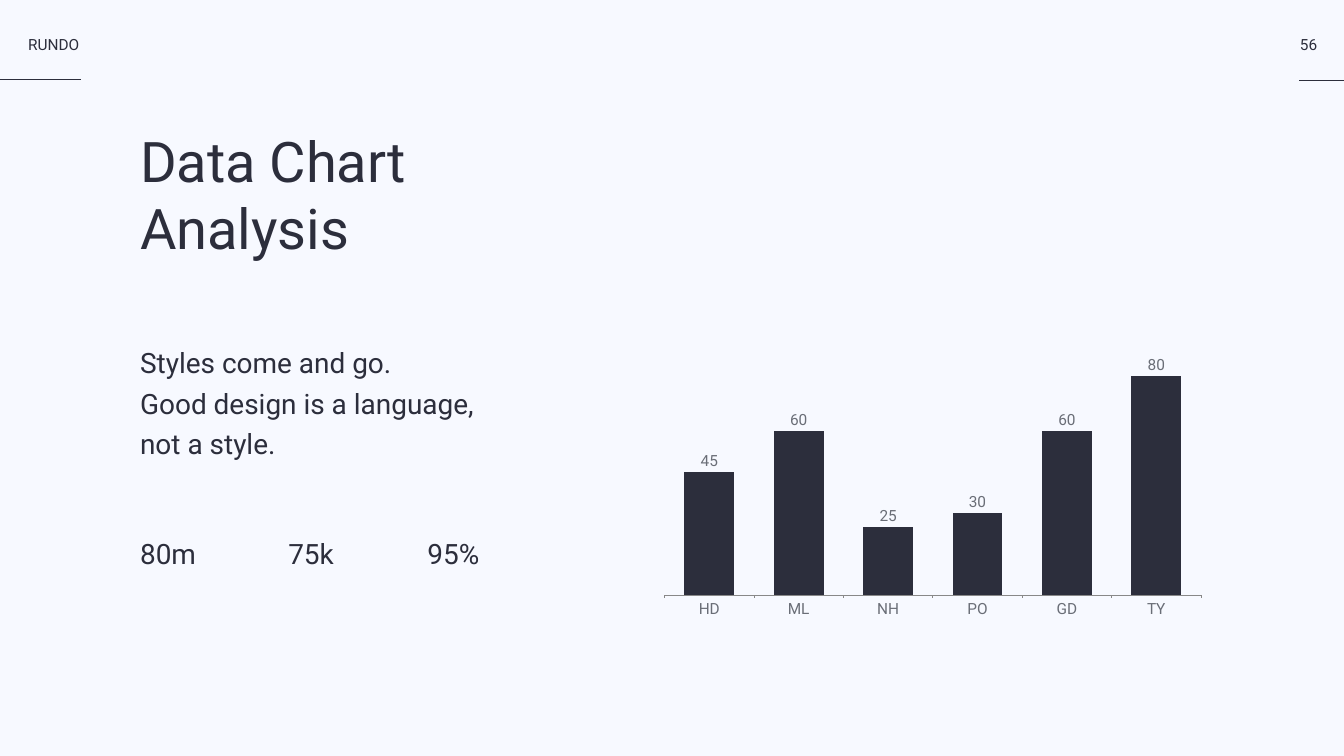
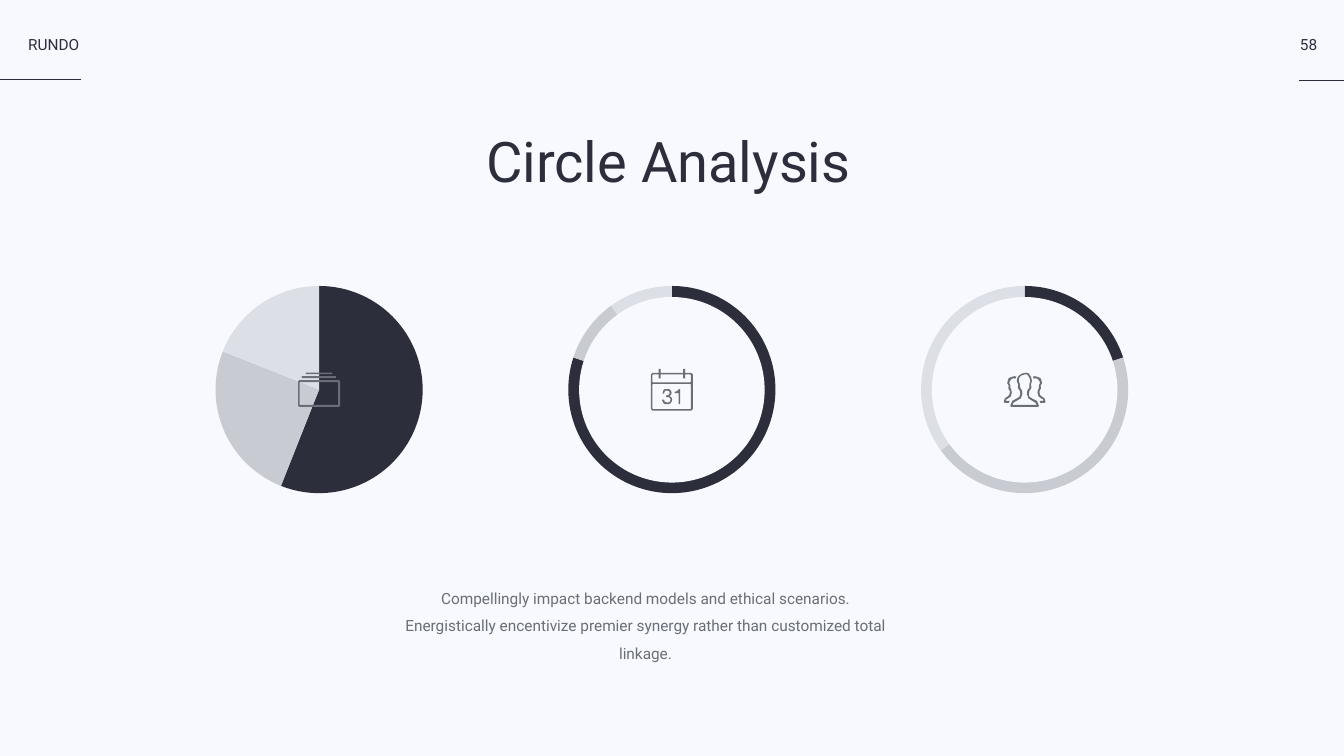
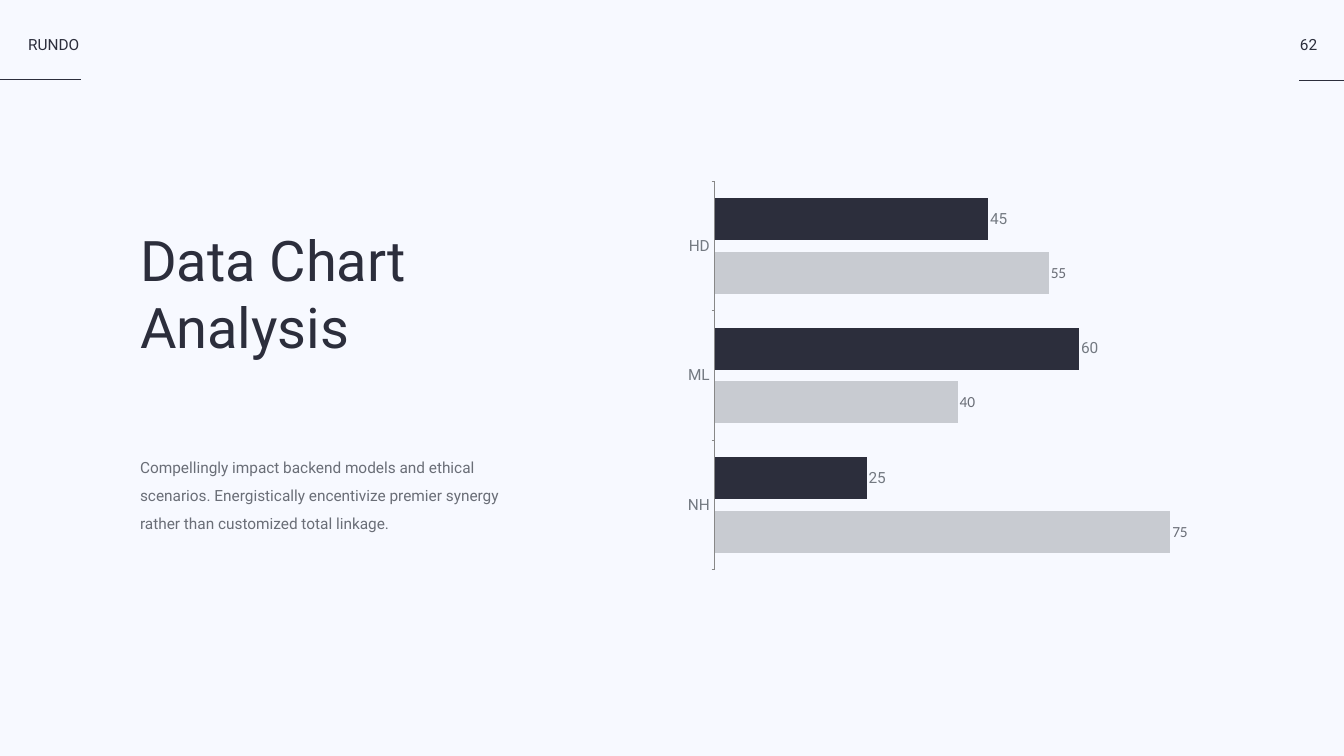
from lxml.etree import SubElement
from pptx import Presentation
from pptx.chart.data import CategoryChartData
from pptx.dml.color import RGBColor
from pptx.enum.chart import XL_CHART_TYPE as ChartType
from pptx.enum.chart import XL_LABEL_POSITION as LabelPosition
from pptx.enum.chart import XL_TICK_LABEL_POSITION as TickLabels
from pptx.enum.chart import XL_TICK_MARK as TickMark
from pptx.enum.shapes import MSO_CONNECTOR, MSO_SHAPE
from pptx.enum.text import MSO_AUTO_SIZE as AutoSize
from pptx.enum.text import PP_ALIGN as Align
from pptx.oxml.ns import qn
from pptx.util import Cm, Pt

COLORS = {
    "background": "F7F9FF",
    "ink": "2C2E3C",
    "text": "6A6E77",
    "slate": "747A82",
    "silver": "C8CBD1",
    "mist": "DCE0E6",
    "axis": "888888",
}
FONT = "Roboto"
SLIDE_WIDTH, SLIDE_HEIGHT = 67.74, 38.1
MARGIN = 7.06
TITLE_TOP = 6.37

# Content; boxes are left, top, width, height in cm
BRAND = "RUNDO"
CHART_TITLE = ["Data Chart", "Analysis"]
CIRCLE_TITLE = ["Circle Analysis"]
MOTTO = ["Styles come and go.", "Good design is a language,", "not a style."]
STATS = [("80m", MARGIN, 2.87), ("75k", 14.53, 2.41), ("95%", 21.54, 2.69)]
CAPTION = [
    "Compellingly impact backend models and ethical scenarios.",
    "Energistically encentivize premier synergy rather than customized total linkage.",
]
SUMMARY = [
    "Compellingly impact backend models and ethical",
    "scenarios. Energistically encentivize premier synergy",
    "rather than customized total linkage.",
]

# Each series: name, values, fill, label color, label font, label format
COLUMNS = {
    "type": ChartType.COLUMN_CLUSTERED,
    "box": (33.11, 15.13, 27.56, 16.64),
    "plot": (0.014, 0.065, 0.981, 0.828),
    "categories": ["HD", "ML", "NH", "PO", "GD", "TY"],
    "series": [("Series 1", [45, 60, 25, 30, 60, 80], "ink", "text", FONT, "0")],
    "axis_color": "text",
    "maximum": 100,
    "labels_at": TickLabels.LOW,
    "reverse": False,
}
BARS = {
    "type": ChartType.BAR_CLUSTERED,
    "box": (34.08, 8.75, 26.57, 20.35),
    "plot": (0.073, 0.019, 0.922, 0.962),
    "categories": ["HD", "ML", "NH"],
    "series": [
        ("Series 1", [45, 60, 25], "ink", "slate", FONT, "0"),
        ("Series 2", [55, 40, 75], "silver", "text", "Calibri", "#,##0"),
    ],
    "axis_color": "slate",
    "maximum": 80,
    "labels_at": TickLabels.NEXT_TO_AXIS,
    "reverse": True,
}


# Icon outlines, drawn on a grid 83 units wide; inner outlines cut holes
def rectangle(left, top, right, bottom, cut=0):
    """Rectangle outline with slightly cut corners."""
    if not cut:
        return [(left, top), (right, top), (right, bottom), (left, bottom)]
    return [
        (left + cut, top), (right - cut, top), (right, top + cut), (right, bottom - cut),
        (right - cut, bottom), (left + cut, bottom), (left, bottom - cut), (left, top + cut),
    ]


ICON_WIDTH, ICON_UNIT = 83, 0.0254
STACK = [
    rectangle(15, 0, 68, 3, 1),
    rectangle(7, 7, 75, 11, 1),
    rectangle(0, 15, 83, 68, 2),
    rectangle(3, 19, 79, 64),
]
DIGIT_THREE = [
    (37, 66), (32, 67), (27, 65), (26, 61), (22, 61), (23, 65), (25, 68), (28, 70), (32, 70),
    (36, 70), (39, 68), (41, 65), (42, 61), (41, 57), (37, 54), (40, 51), (41, 48), (40, 44),
    (38, 42), (36, 40), (32, 40), (28, 40), (25, 42), (24, 45), (23, 49), (26, 49), (27, 45),
    (30, 43), (32, 43), (36, 44), (37, 48), (36, 51), (34, 52), (30, 53), (30, 56), (32, 56),
    (35, 56), (37, 57), (38, 59), (39, 61), (38, 64),
]
DIGIT_ONE = [
    (55, 70), (58, 70), (58, 40), (56, 40), (54, 42), (52, 44), (50, 45), (47, 45), (47, 48),
    (55, 48),
]
CALENDAR = [
    rectangle(0, 8, 83, 83, 3),
    rectangle(3, 11, 79, 27, 1),
    rectangle(3, 30, 79, 80, 1),
    *[rectangle(x, y, x + 4, y + 8) for x in (15, 64) for y in (0, 11)],
    DIGIT_THREE,
    DIGIT_ONE,
]
PERSON_OUTER = [
    (56, 51), (51, 48), (50, 42), (51, 36), (54, 32), (55, 28), (54, 24), (56, 16), (54, 8),
    (49, 1), (44, 0), (36, 2), (30, 6), (27, 11), (26, 17), (29, 24), (28, 29), (29, 32),
    (32, 36), (33, 42), (31, 48), (26, 51), (17, 56), (13, 66), (15, 68), (68, 68), (70, 66),
    (66, 56),
]
PERSON_INNER = [
    (17, 64), (20, 59), (27, 55), (34, 51), (37, 42), (36, 35), (33, 31), (32, 25), (32, 22),
    (30, 18), (30, 12), (33, 7), (37, 5), (44, 3), (47, 4), (51, 10), (53, 17), (51, 22),
    (51, 30), (47, 35), (46, 42), (49, 51), (55, 55), (62, 59), (66, 64),
]
NEIGHBOUR = [
    (75, 47), (72, 44), (71, 40), (71, 36), (73, 33), (74, 30), (73, 26), (76, 21), (75, 16),
    (73, 11), (69, 9), (62, 7), (58, 8), (60, 12), (62, 11), (67, 12), (71, 17), (72, 21),
    (70, 25), (70, 30), (68, 34), (67, 40), (69, 47), (74, 51), (78, 53), (79, 56), (71, 56),
    (73, 60), (81, 60), (83, 58), (81, 51),
]
PEOPLE = [PERSON_OUTER, PERSON_INNER, NEIGHBOUR, [(ICON_WIDTH - x, y) for x, y in NEIGHBOUR]]

# Each circle: values, whether it is a ring, icon
CIRCLES = [([56, 25, 19], False, STACK), ([80, 10, 10], True, CALENDAR), ([20, 45, 35], True, PEOPLE)]
SLICES = ["ink", "silver", "mist"]
CIRCLE_LEFT, CIRCLE_TOP, CIRCLE_STEP, CIRCLE_SIZE = 10.8, 14.36, 17.78, 10.57
RING_HOLE = 9.35


def rgb(name):
    return RGBColor.from_string(COLORS[name])


def fill_shape(shape, color):
    shape.shadow.inherit = False
    shape.fill.solid()
    shape.fill.fore_color.rgb = rgb(color)
    shape.line.fill.background()


def style_font(font, size, color, name=FONT):
    font.size, font.name = Pt(size), name
    font.color.rgb = rgb(color)


def add_text(slide, lines, box, size=22, color="ink", align=Align.LEFT, spacing=None):
    frame = slide.shapes.add_textbox(*map(Cm, box)).text_frame
    frame.margin_left = frame.margin_right = frame.margin_top = frame.margin_bottom = 0
    frame.word_wrap = False
    frame.auto_size = AutoSize.SHAPE_TO_FIT_TEXT
    frame.text = "\n".join(lines)
    for paragraph in frame.paragraphs:
        paragraph.alignment = align
        if spacing:
            paragraph.line_spacing = spacing
        style_font(paragraph.font, size, color)


def add_title(slide, lines, left, top, width, height, align=Align.LEFT):
    add_text(slide, lines, (left, top, width, height), 80, align=align)


def add_rule(slide, left, right, y):
    rule = slide.shapes.add_connector(MSO_CONNECTOR.STRAIGHT, Cm(left), Cm(y), Cm(right), Cm(y))
    rule.line.color.rgb = rgb("ink")
    rule.line.width = Pt(2)
    SubElement(rule.element.spPr, qn("a:effectLst"))


def add_page(presentation, number):
    """New slide with the shared background, brand and page number."""
    slide = presentation.slides.add_slide(presentation.slide_layouts[6])
    slide.background.fill.solid()
    slide.background.fill.fore_color.rgb = rgb("background")
    add_rule(slide, 0, 4.09, 4.02)
    add_text(slide, [BRAND], (1.42, 1.75, 2.67, 1.02))
    add_rule(slide, 65.49, SLIDE_WIDTH, 4.06)
    add_text(slide, [str(number)], (65.5, 1.75, 0.91, 1.02), align=Align.CENTER)
    return slide


def add_chart(slide, kind, box, plot_box, categories, series):
    data = CategoryChartData()
    data.categories = categories
    for name, values in series:
        data.add_series(name, values)
    chart = slide.shapes.add_chart(kind, *map(Cm, box), data).chart
    chart.has_title = chart.has_legend = False
    chart.font.name, chart.font.size = "Arial", Pt(10)
    # Fix the inner plot area
    area = chart.element.find(".//" + qn("c:plotArea"))
    for layout in area.findall(qn("c:layout")):
        area.remove(layout)
    layout = SubElement(area, qn("c:layout"))
    area.insert(0, layout)
    manual = SubElement(layout, qn("c:manualLayout"))
    settings = [("layoutTarget", "inner"), ("xMode", "edge"), ("yMode", "edge")]
    for tag, value in settings + list(zip("xywh", plot_box)):
        SubElement(manual, qn("c:" + tag)).set("val", str(value))
    return chart


def add_bar_chart(slide, content):
    chart = add_chart(slide, content["type"], content["box"], content["plot"],
                      content["categories"], [entry[:2] for entry in content["series"]])
    plot = chart.plots[0]
    plot.vary_by_categories = False
    plot.gap_width, plot.overlap = 80, -27
    for series, (_, _, fill, color, font, number_format) in zip(plot.series, content["series"]):
        series.format.fill.solid()
        series.format.fill.fore_color.rgb = rgb(fill)
        labels = series.data_labels
        labels.show_value = True
        labels.position = LabelPosition.OUTSIDE_END
        labels.number_format, labels.number_format_is_linked = number_format, False
        style_font(labels.font, 22, color, font)

    category_axis = chart.category_axis
    category_axis.has_major_gridlines = False
    category_axis.major_tick_mark = TickMark.OUTSIDE
    category_axis.minor_tick_mark = TickMark.NONE
    category_axis.tick_label_position = content["labels_at"]
    category_axis.reverse_order = content["reverse"]
    category_axis.format.line.color.rgb = rgb("axis")
    category_axis.format.line.width = Pt(1)
    style_font(category_axis.tick_labels.font, 22, content["axis_color"])

    value_axis = chart.value_axis
    value_axis.has_major_gridlines = False
    value_axis.major_tick_mark = value_axis.minor_tick_mark = TickMark.NONE
    value_axis.tick_label_position = TickLabels.NONE
    value_axis.minimum_scale, value_axis.maximum_scale = 0, content["maximum"]
    value_axis.major_unit = 20
    value_axis.format.line.fill.background()


def add_icon(slide, outlines, center_x, center_y):
    height = max(y for outline in outlines for _, y in outline)
    builder = slide.shapes.build_freeform(*outlines[0][0], scale=Cm(ICON_UNIT))
    for index, outline in enumerate(outlines):
        if index:
            builder.move_to(*outline[0])
        builder.add_line_segments(outline[1:], close=True)
    icon = builder.convert_to_shape(Cm(center_x - ICON_WIDTH * ICON_UNIT / 2),
                                    Cm(center_y - height * ICON_UNIT / 2))
    fill_shape(icon, "text")


def add_circle(slide, left, values, is_ring, icon):
    chart = add_chart(slide, ChartType.PIE, (left, CIRCLE_TOP, CIRCLE_SIZE, CIRCLE_SIZE),
                      (0.005, 0.005, 0.99, 0.988), ["1", "2", "3"], [("Series 1", values)])
    series = chart.plots[0].series[0]
    for index, color in enumerate(SLICES):
        slice_format = series.points[index].format
        slice_format.fill.solid()
        slice_format.fill.fore_color.rgb = rgb(color)
        slice_format.line.fill.background()
    if is_ring:
        inset = (CIRCLE_SIZE - RING_HOLE) / 2
        hole = slide.shapes.add_shape(MSO_SHAPE.OVAL, Cm(left + inset), Cm(CIRCLE_TOP + inset),
                                      Cm(RING_HOLE), Cm(RING_HOLE))
        fill_shape(hole, "background")
    add_icon(slide, icon, left + CIRCLE_SIZE / 2, CIRCLE_TOP + CIRCLE_SIZE / 2)


def main():
    presentation = Presentation()
    presentation.slide_width, presentation.slide_height = Cm(SLIDE_WIDTH), Cm(SLIDE_HEIGHT)

    # Column chart with key figures
    slide = add_page(presentation, 56)
    add_bar_chart(slide, COLUMNS)
    add_title(slide, CHART_TITLE, MARGIN, TITLE_TOP, 14.3, 7.47)
    add_text(slide, MOTTO, (MARGIN, 17.09, 16.97, 6.35), 40, spacing=1.2)
    for figure, left, width in STATS:
        add_text(slide, [figure], (left, 26.7, width, 1.88), 40, spacing=1.2)

    # Pie and rings
    slide = add_page(presentation, 58)
    for index, circle in enumerate(CIRCLES):
        add_circle(slide, CIRCLE_LEFT + index * CIRCLE_STEP, *circle)
    add_text(slide, CAPTION, (19.1, 29.21, 26.87, 2.57), 22, "text", Align.CENTER, 1.5)
    add_title(slide, CIRCLE_TITLE, 24.32, TITLE_TOP, 18.75, 3.73, Align.CENTER)

    # Bar chart with summary
    slide = add_page(presentation, 62)
    add_title(slide, CHART_TITLE, MARGIN, 11.38, 14.3, 7.47)
    add_text(slide, SUMMARY, (MARGIN, 22.63, 18.14, 4.09), 22, "text", spacing=1.5)
    add_bar_chart(slide, BARS)

    presentation.save("out.pptx")


if __name__ == "__main__":
    main()
